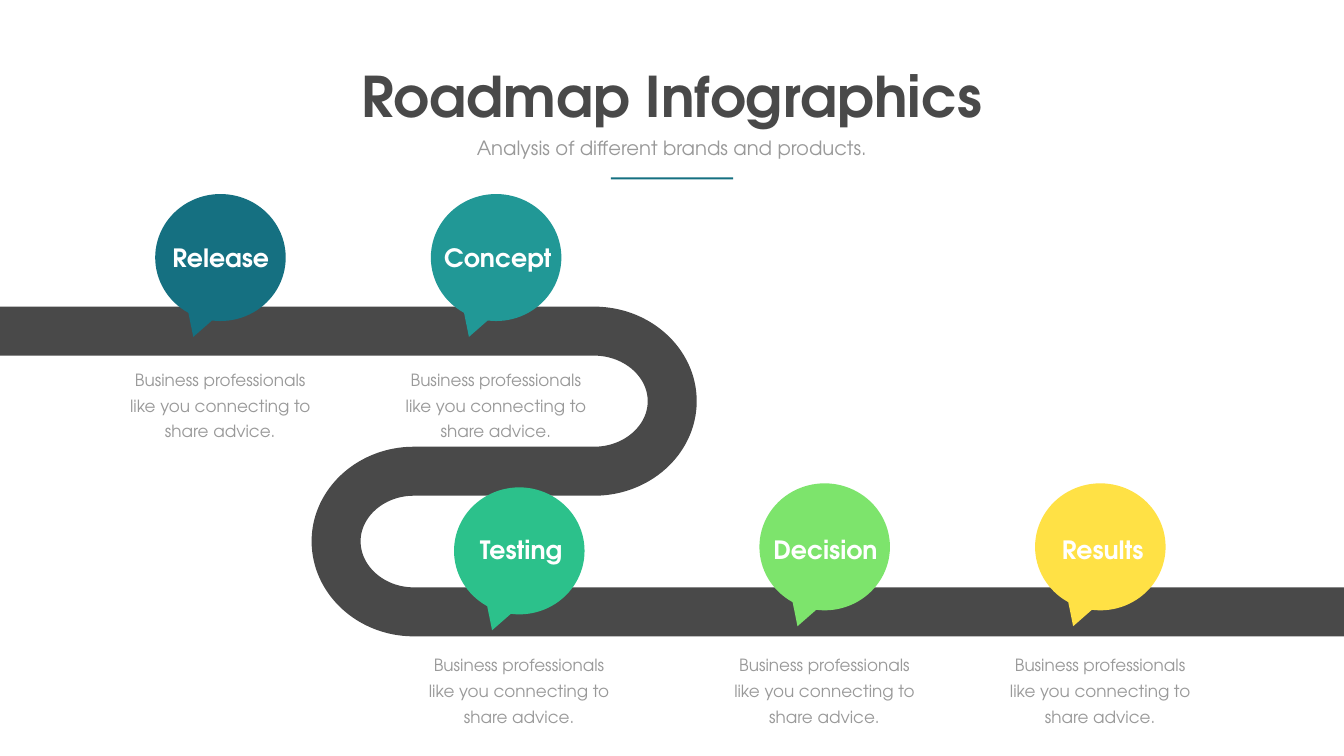
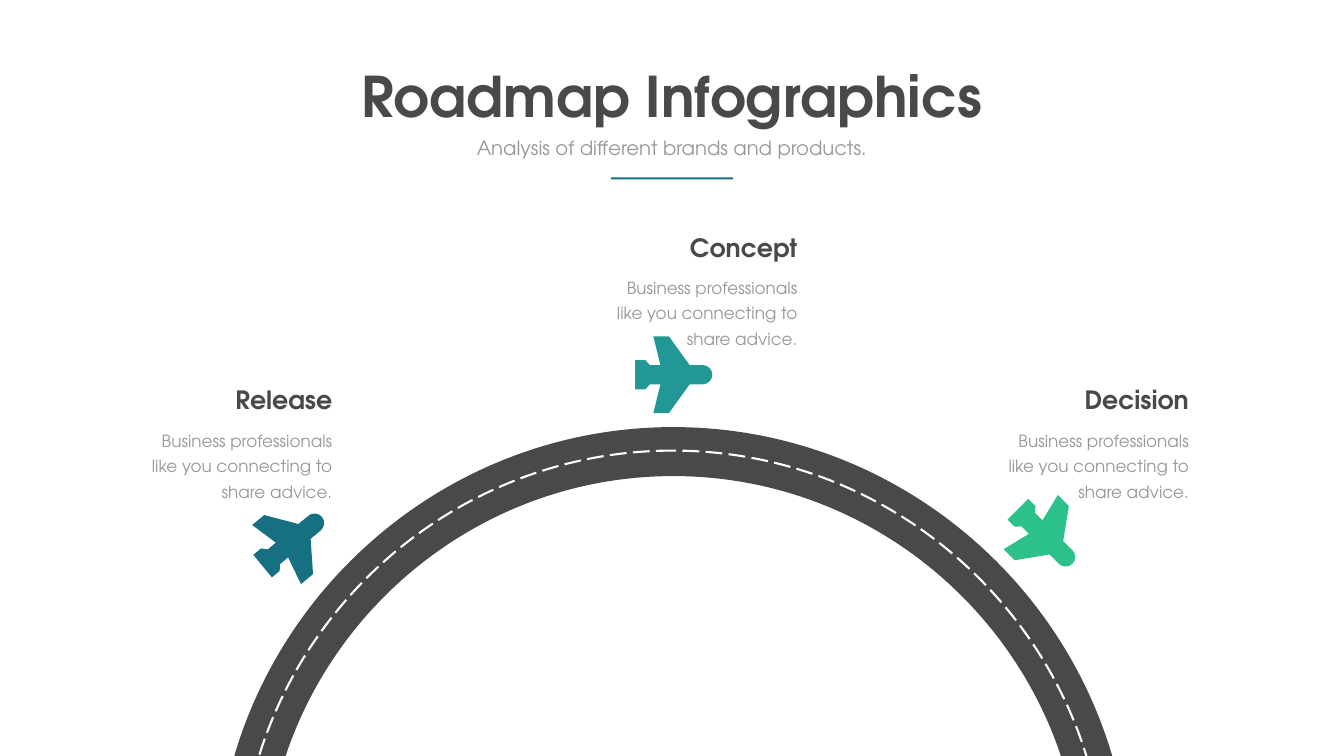
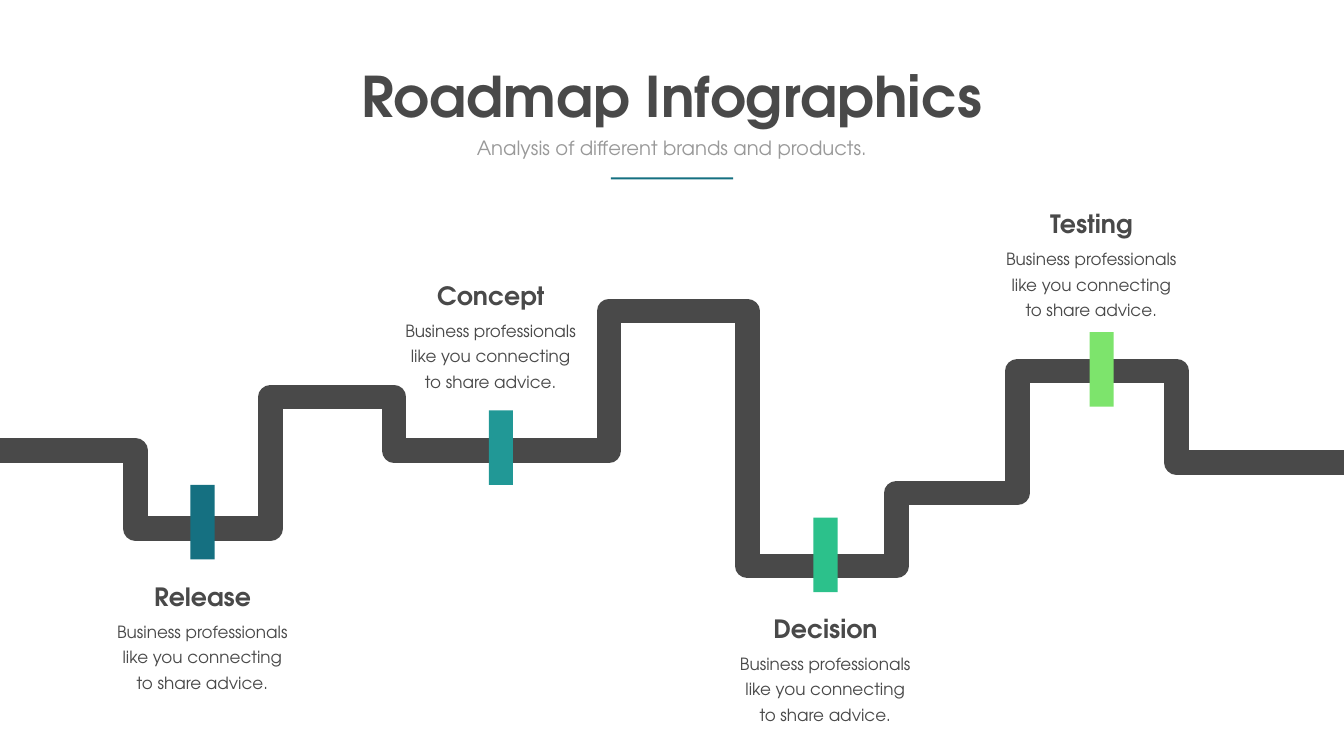
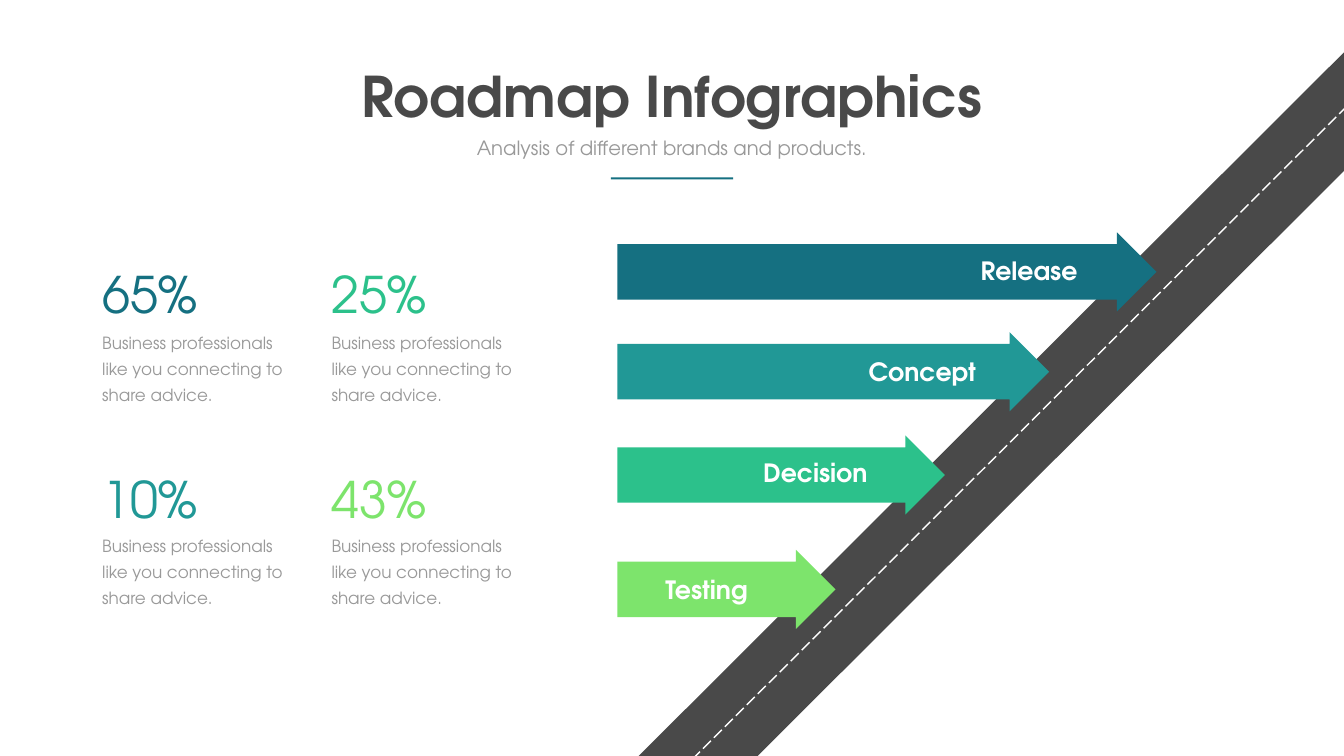
"""Build four roadmap infographic slides."""
from dataclasses import dataclass, replace

from lxml.etree import SubElement
from pptx import Presentation
from pptx.dml.color import RGBColor
from pptx.enum.dml import MSO_LINE
from pptx.enum.shapes import MSO_CONNECTOR, MSO_SHAPE
from pptx.enum.text import MSO_ANCHOR, MSO_AUTO_SIZE as AUTO, PP_ALIGN as AL
from pptx.oxml.ns import qn
from pptx.util import Inches, Pt

FONT = "TeX Gyre Adventor"
BODY = "Business professionals like you connecting to share advice."
COLORS = {
    "dark": "494949", "gray": "999999", "white": "FFFFFF", "blue": "157081",
    "teal": "219896", "green": "2CC18B", "lime": "7DE46C", "yellow": "FFE145",
}
HEAD_W, HEAD_H, BODY_H = 2.86, 0.71, 1.6
ROUND = 0.55
Point = tuple[float, float]
Segment = tuple[Point, ...]


@dataclass(frozen=True)
class Style:
    size: float
    color: str
    bold: bool = False
    align: AL = AL.CENTER
    spacing: float | None = None


@dataclass(frozen=True)
class Stop:
    name: str
    color: str
    bubble: Point
    label_cx: float


@dataclass(frozen=True)
class Flight:
    name: str
    color: str
    right: float
    top: float
    center: Point
    angle: float


@dataclass(frozen=True)
class Marker:
    name: str
    color: str
    bar: Point
    text_cx: float
    text_top: float


@dataclass(frozen=True)
class Arrow:
    name: str
    color: str
    top: float
    width: float
    label_cx: float
    label_top: float


@dataclass(frozen=True)
class Stat:
    value: str
    color: str
    col: int
    row: int


TITLE = Style(80, "dark", True)
SUBTITLE = Style(28, "gray")
HEADING = Style(36, "dark", True)
LABEL = Style(36, "white", True)
TEXT = Style(24, "gray", spacing=36.6)

STOPS = [
    Stop("Release", "blue", (3.08, 3.85), 4.38),
    Stop("Concept", "teal", (8.55, 3.85), 9.88),
    Stop("Testing", "green", (9.01, 9.67), 10.34),
    Stop("Decision", "lime", (15.07, 9.59), 16.38),
    Stop("Results", "yellow", (20.54, 9.59), 21.88),
]
FLIGHTS = [
    Flight("Release", "blue", 6.69, 7.58, (5.8, 10.74), 50.4),
    Flight("Concept", "teal", 15.92, 4.55, (13.37, 7.43), 90),
    Flight("Decision", "green", 23.69, 7.58, (20.74, 10.64), 135),
]
MARKERS = [
    Marker("Release", "blue", (3.28, 10.12), 4.02, 11.48),
    Marker("Concept", "teal", (9.2, 8.64), 9.74, 5.51),
    Marker("Decision", "green", (15.64, 10.77), 16.38, 12.12),
    Marker("Testing", "lime", (21.12, 7.09), 21.66, 4.09),
]
ARROWS = [
    Arrow("Release", "blue", 4.61, 10.7, 20.42, 5.02),
    Arrow("Concept", "teal", 6.59, 8.57, 18.3, 7.02),
    Arrow("Decision", "green", 8.64, 6.5, 16.18, 9.02),
    Arrow("Testing", "lime", 10.91, 4.33, 14.02, 11.34),
]
STATS = [
    Stat("65%", "blue", 0, 0), Stat("25%", "green", 1, 0),
    Stat("10%", "teal", 0, 1), Stat("43%", "lime", 1, 1),
]
STEPPED_ROAD = [
    (-0.4, 8.94), (2.69, 8.94), (2.69, 10.49), (5.37, 10.49), (5.37, 7.88),
    (7.82, 7.88), (7.82, 8.94), (12.09, 8.94), (12.09, 6.17), (14.83, 6.17),
    (14.83, 11.23), (17.79, 11.23), (17.79, 9.78), (20.19, 9.78),
    (20.19, 7.36), (23.35, 7.36), (23.35, 9.18), (27.06, 9.18),
]
PLANE_SIDE = [
    (0.19, 0.45), (0.76, 0.86), (0.76, 1.17), (0.19, 1.03),
    (0.19, 1.24), (0.29, 1.33), (0.29, 1.53),
]


def rgb(color: str) -> RGBColor:
    return RGBColor.from_string(COLORS[color])


def write(sp, text: str, style: Style) -> None:
    tf = sp.text_frame
    tf.word_wrap = True
    tf.auto_size = AUTO.SHAPE_TO_FIT_TEXT
    tf.vertical_anchor = MSO_ANCHOR.TOP
    p = tf.paragraphs[0]
    p.alignment = style.align
    if style.spacing:
        p.line_spacing = Pt(style.spacing)
    r = p.add_run()
    r.text = text
    r.font.name = FONT
    r.font.size = Pt(style.size)
    r.font.bold = style.bold
    r.font.color.rgb = rgb(style.color)


def add_text(slide, text: str, x: float, y: float, w: float, h: float,
             style: Style) -> None:
    box = slide.shapes.add_textbox(Inches(x), Inches(y), Inches(w), Inches(h))
    write(box, text, style)


def add_heading(slide, text: str, cx: float, y: float, style: Style) -> None:
    add_text(slide, text, cx - HEAD_W / 2, y, HEAD_W, HEAD_H, style)


def paint(sp, color: str) -> None:
    sp.shadow.inherit = False
    sp.fill.solid()
    sp.fill.fore_color.rgb = rgb(color)
    sp.line.fill.background()


def add_block(slide, kind: MSO_SHAPE, x: float, y: float, w: float, h: float,
              color: str):
    sp = slide.shapes.add_shape(kind, Inches(x), Inches(y), Inches(w), Inches(h))
    paint(sp, color)
    return sp


def lines(*points: Point) -> list[Segment]:
    return [(point,) for point in points]


def quarter(start: Point, end: Point, level_start: bool) -> Segment:
    (x0, y0), (x1, y1) = start, end
    dx, dy = ROUND * (x1 - x0), ROUND * (y1 - y0)
    if level_start:
        return (x0 + dx, y0), (x1, y1 - dy), end
    return (x0, y0 + dy), (x1 - dx, y1), end


def half_turn(start: Point, side: Point, end: Point) -> list[Segment]:
    return [quarter(start, side, True), quarter(side, end, False)]


def add_outline(slide, start: Point, segments: list[Segment], close: bool):
    ends = [(Inches(x), Inches(y)) for *_, (x, y) in segments]
    builder = slide.shapes.build_freeform(Inches(start[0]), Inches(start[1]))
    builder.add_line_segments(ends, close=close)
    sp = builder.convert_to_shape()
    for step, segment in zip(list(sp.element.iter(qn("a:lnTo"))), segments):
        if len(segment) == 3:
            end = step[0]
            step.tag = qn("a:cubicBezTo")
            for x, y in segment[:2]:
                SubElement(step, qn("a:pt"), x=str(Inches(x) - sp.left),
                           y=str(Inches(y) - sp.top))
            step.append(end)
    return sp


def stroke(sp, color: str, width: float, dashed: bool) -> None:
    sp.line.color.rgb = rgb(color)
    sp.line.width = Pt(width)
    if dashed:
        sp.line.dash_style = MSO_LINE.LONG_DASH


def add_road(slide, start: Point, segments: list[Segment], color: str,
             width: float, dashed: bool = False) -> None:
    sp = add_outline(slide, start, segments, False)
    sp.shadow.inherit = False
    sp.fill.background()
    stroke(sp, color, width, dashed)


def add_arch(slide, top: Point, color: str, width: float,
             dashed: bool = False) -> None:
    cx, y = top
    left, right = (cx - 8.59, y + 8.58), (cx + 8.59, y + 8.58)
    segments = [quarter(top, left, True), (right,), quarter(right, top, False)]
    add_road(slide, top, segments, color, width, dashed)


def add_straight_road(slide, start: Point, end: Point, color: str,
                      width: float, dashed: bool = False) -> None:
    line = slide.shapes.add_connector(
        MSO_CONNECTOR.STRAIGHT, *[Inches(v) for v in (*start, *end)])
    stroke(line, color, width, dashed)
    SubElement(line.element.spPr, qn("a:effectLst"))


def add_plane(slide, flight: Flight) -> None:
    cx, cy = flight.center
    left_side = [(-x, y) for x, y in reversed(PLANE_SIDE)]
    port, nose, starboard = (-0.19, 0.19), (0, 0), (0.19, 0.19)
    body = [quarter(port, nose, False), quarter(nose, starboard, True),
            *lines(*PLANE_SIDE, *left_side)]
    placed = [tuple((cx + x, cy - 0.76 + y) for x, y in seg) for seg in body]
    sp = add_outline(slide, (cx + port[0], cy - 0.76 + port[1]), placed, True)
    paint(sp, flight.color)
    sp.rotation = flight.angle


def add_slide(prs):
    slide = prs.slides.add_slide(prs.slide_layouts[5])
    title = slide.shapes.title
    title.left, title.top = Inches(7), Inches(1.17)
    title.width, title.height = Inches(12.66), Inches(1.45)
    write(title, "Roadmap Infographics", TITLE)
    title.text_frame.word_wrap = False
    add_text(slide, "Analysis of different brands and products.",
             8.55, 2.65, 9.56, 0.57, SUBTITLE)
    add_block(slide, MSO_SHAPE.RECTANGLE, 12.12, 3.52, 2.43, 0.04, "blue")
    return slide


def winding_slide(prs) -> None:
    slide = add_slide(prs)
    road = [
        *lines((11.79, 6.57)),
        *half_turn((11.79, 6.57), (13.34, 7.96), (11.79, 9.35)),
        *lines((8.21, 9.35)),
        *half_turn((8.21, 9.35), (6.67, 10.74), (8.21, 12.14)),
        *lines((26.67, 12.14)),
    ]
    add_road(slide, (0, 6.57), road, "dark", 70)
    for stop in STOPS:
        x, y = stop.bubble
        upper = y < 6
        add_block(slide, MSO_SHAPE.OVAL_CALLOUT, x, y, 2.59, 2.52, stop.color)
        add_heading(slide, stop.name, stop.label_cx, 4.75 if upper else 10.55, LABEL)
        add_text(slide, BODY, x - 0.7, 7.18 if upper else 12.84, 3.98, BODY_H, TEXT)


def arch_slide(prs) -> None:
    slide = add_slide(prs)
    add_arch(slide, (13.36, 8.96), "dark", 70)
    add_arch(slide, (13.35, 8.94), "white", 3, True)
    for flight in FLIGHTS:
        add_plane(slide, flight)
        add_text(slide, BODY, flight.right - 3.96, flight.top + 0.8, 3.96, BODY_H,
                 replace(TEXT, align=AL.RIGHT))
        add_text(slide, flight.name, flight.right - HEAD_W, flight.top, HEAD_W,
                 HEAD_H, replace(HEADING, align=AL.RIGHT))


def stepped_slide(prs) -> None:
    slide = add_slide(prs)
    add_road(slide, STEPPED_ROAD[0], lines(*STEPPED_ROAD[1:]), "dark", 35)
    for marker in MARKERS:
        bar = add_block(slide, MSO_SHAPE.RECTANGLE, *marker.bar, 1.48, 0.48,
                        marker.color)
        bar.rotation = 270
        add_text(slide, BODY, marker.text_cx - 1.86, marker.text_top + 0.69, 3.71,
                 BODY_H, replace(TEXT, color="dark"))
        add_heading(slide, marker.name, marker.text_cx, marker.text_top, HEADING)


def diagonal_slide(prs) -> None:
    slide = add_slide(prs)
    rows = [(5.17, 6.45), (9.23, 10.48)]
    for stat in STATS:
        x = 1.93 + 4.55 * stat.col
        value_top, body_top = rows[stat.row]
        add_text(slide, stat.value, x, value_top, 2.51, 1.31,
                 Style(72, stat.color, align=AL.LEFT))
        add_text(slide, BODY, x, body_top, 3.99, BODY_H,
                 replace(TEXT, align=AL.LEFT))
    add_straight_road(slide, (29, -0.11), (12.51, 16.34), "dark", 120)
    add_straight_road(slide, (28.91, -0.07), (12.42, 16.38), "white", 2, True)
    for arrow in ARROWS:
        sp = add_block(slide, MSO_SHAPE.RIGHT_ARROW, 12.25, arrow.top, arrow.width,
                       1.57, arrow.color)
        sp.adjustments[0] = 0.7
        add_heading(slide, arrow.name, arrow.label_cx, arrow.label_top, LABEL)


def main() -> None:
    prs = Presentation()
    prs.slide_width, prs.slide_height = Inches(26.67), Inches(15)
    for build in (winding_slide, arch_slide, stepped_slide, diagonal_slide):
        build(prs)
    prs.save("out.pptx")


if __name__ == "__main__":
    main()
